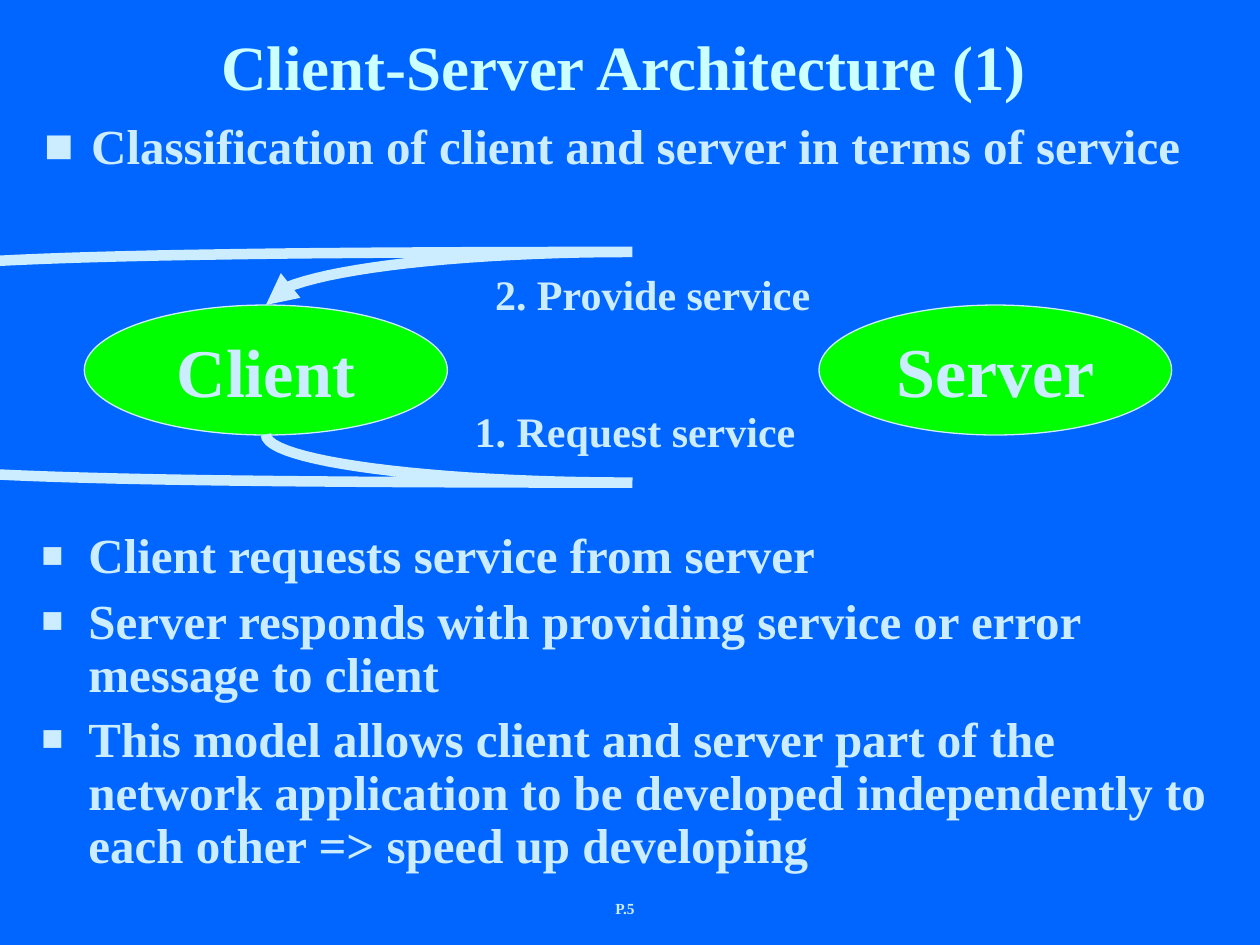
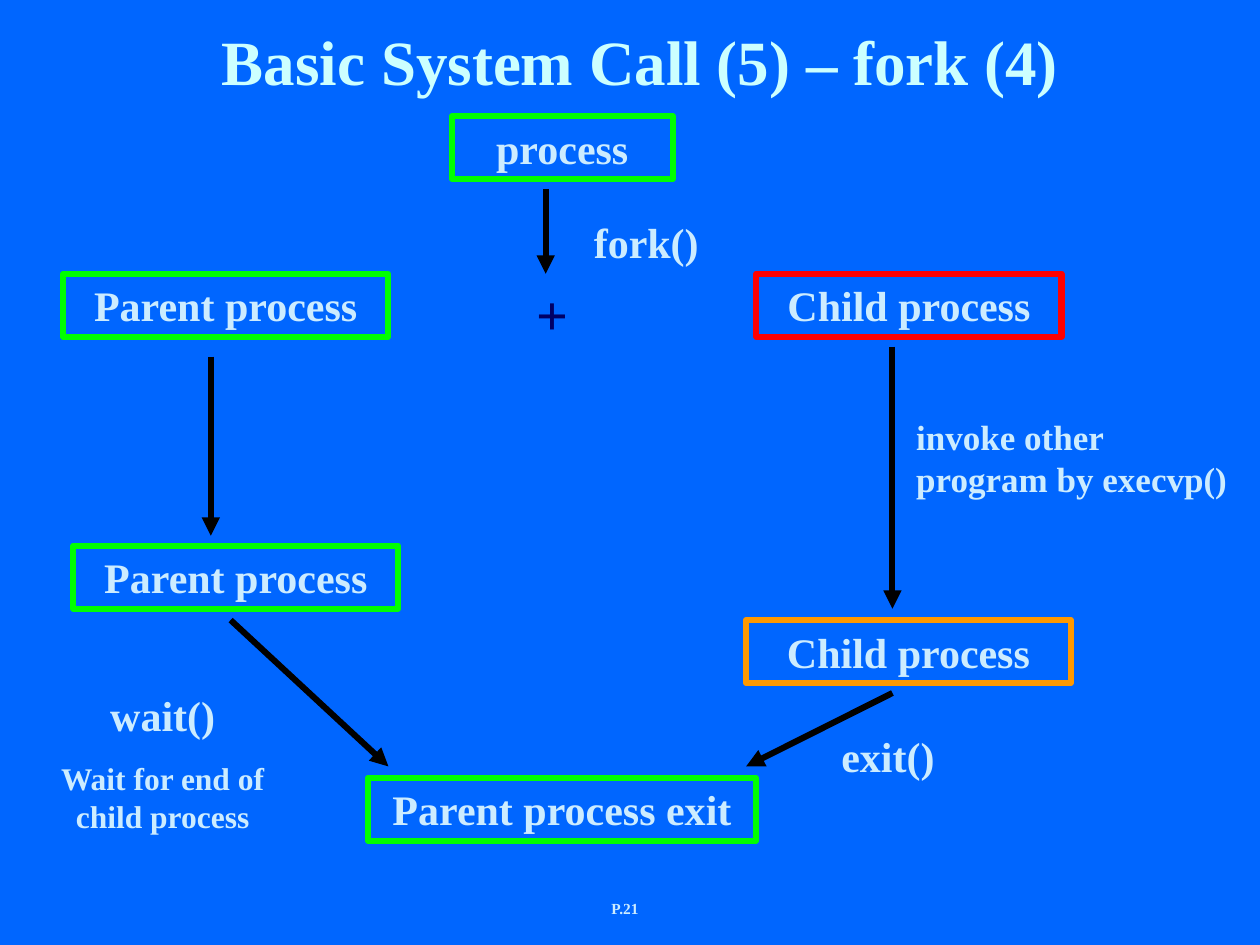
from dataclasses import dataclass

from lxml import etree
from pptx import Presentation
from pptx.dml.color import RGBColor
from pptx.enum.shapes import MSO_CONNECTOR, MSO_SHAPE
from pptx.enum.text import MSO_ANCHOR, MSO_AUTO_SIZE, PP_ALIGN
from pptx.oxml.ns import qn
from pptx.util import Cm, Pt

# Shared look
FONT = "Times New Roman"
BLUE, PALE, TITLE = "0066FF", "CCECFF", "CCFFFF"
GREEN, RED, ORANGE = "00FF00", "FF0000", "FF9900"
BLACK, NAVY = "000000", "000066"
LEFT, CENTER = PP_ALIGN.LEFT, PP_ALIGN.CENTER
TOP, MIDDLE, BOTTOM = MSO_ANCHOR.TOP, MSO_ANCHOR.MIDDLE, MSO_ANCHOR.BOTTOM
LINE_WIDTH = 3.5


@dataclass
class Box:
    left: float
    top: float
    width: float
    height: float

    def inner(self, left, top, width, height):
        return Box(self.left + left, self.top + top, width, height)

    def lengths(self):
        return Cm(self.left), Cm(self.top), Cm(self.width), Cm(self.height)


def color(hex_text):
    return RGBColor.from_string(hex_text)


def add_xml(parent, tag, **attributes):
    return etree.SubElement(parent, qn(tag), attributes)


def add_bullet(para, percent):
    properties = para._p.get_or_add_pPr()
    properties.set("marL", str(Cm(0.95)))
    properties.set("indent", str(-Cm(0.95)))
    add_xml(properties, "a:buSzPct", val=str(percent * 1000))
    add_xml(properties, "a:buFont", typeface=FONT)
    add_xml(properties, "a:buChar", char="■")


def write(shape, text, size=24, ink=PALE, align=CENTER, anchor=TOP, wrap=True,
          bullet=None, spacing=None, before=0, sizes=None):
    """Fill a shape with one paragraph for each line of text."""
    frame = shape.text_frame
    frame.auto_size = MSO_AUTO_SIZE.NONE
    frame.word_wrap = wrap
    frame.vertical_anchor = anchor
    for index, line in enumerate(text.split("\n")):
        para = frame.add_paragraph() if index else frame.paragraphs[0]
        if bullet:
            add_bullet(para, bullet)
        para.alignment = align
        para.space_before = Pt(before if index else 0)
        if spacing:
            para.line_spacing = spacing
        span = para.add_run()
        span.text = line
        span.font.name = FONT
        span.font.size = Pt(sizes[index] if sizes else size)
        span.font.bold = True
        span.font.color.rgb = color(ink)


def add_text(page, box, text, **format):
    shape = page.shapes.add_textbox(*box.lengths())
    write(shape, text, **format)


def add_node(page, box, text, kind=MSO_SHAPE.RECTANGLE, fill=None,
             outline=GREEN, weight=LINE_WIDTH, **format):
    shape = page.shapes.add_shape(kind, *box.lengths())
    shape.shadow.inherit = False
    if fill:
        shape.fill.solid()
        shape.fill.fore_color.rgb = color(fill)
    else:
        shape.fill.background()
    shape.line.color.rgb = color(outline)
    shape.line.width = Pt(weight)
    write(shape, text, **format)


def place_in(placeholder, box):
    (placeholder.left, placeholder.top,
     placeholder.width, placeholder.height) = box.lengths()
    return placeholder


def add_page(deck, layout, title, title_box, anchor, number):
    page = deck.slides.add_slide(deck.slide_layouts[layout])
    write(place_in(page.shapes.title, title_box), title,
          size=36, ink=TITLE, anchor=anchor)
    add_text(page, Box(9.96, 17.35, 5.28, 1.27), f"P.{number}",
             size=8.8, anchor=BOTTOM, spacing=0.8)
    return page


# Client and server diagram
def curve_points(start, control_1, control_2, end, stop=1.0, steps=24):
    """Points on a cubic curve, up to the parameter stop."""
    for step in range(steps + 1):
        t = stop * step / steps
        u = 1 - t
        weights = (u ** 3, 3 * u * u * t, 3 * u * t * t, t ** 3)
        corners = (start, control_1, control_2, end)
        yield tuple(sum(w * corner[axis] for w, corner in zip(weights, corners))
                    for axis in (0, 1))


def service_curve(page, box, start_y, turn_y, arrow=False):
    """Curve from the client to the turn, then back to the page edge."""
    bend_y = start_y + 0.55 * (turn_y - start_y)
    turn = (11.05, turn_y)
    out = curve_points((3.66, start_y), (3.66, bend_y), (6.96, turn_y), turn)
    back = curve_points(turn, (-7.34, turn_y), (-4.01, bend_y),
                        (-4.01, start_y), stop=0.37)
    points = [(Cm(box.left + x), Cm(box.top + y))
              for x, y in [*out, *list(back)[1:]]]
    builder = page.shapes.build_freeform(*points[0])
    builder.add_line_segments(points[1:], close=False)
    curve = builder.convert_to_shape()
    curve.shadow.inherit = False
    curve.fill.background()
    curve.line.color.rgb = color(PALE)
    curve.line.width = Pt(6)
    line = curve.line._get_or_add_ln()
    add_xml(line, "a:bevel")
    if arrow:
        add_xml(line, "a:headEnd", type="triangle")


def service_diagram(page, box):
    for left, width, name, size in ((0, 7.32, "Client", 39),
                                    (14.81, 7.11, "Server", 40)):
        add_node(page, box.inner(left, 1.07, width, 2.62), name,
                 kind=MSO_SHAPE.OVAL, fill=GREEN, outline=PALE, weight=0.75,
                 size=size, anchor=MIDDLE, wrap=False)
    service_curve(page, box, 3.68, box.height)
    service_curve(page, box, 1.07, 0, arrow=True)
    for left, top, label in ((7.62, 2.97, "1. Request service"),
                             (8.03, 0.2, "2. Provide service")):
        add_text(page, box.inner(left, top, 6.9, 1.24), label,
                 align=LEFT, wrap=False)


def client_server_page(deck):
    page = add_page(deck, 1, "Client-Server Architecture (1)",
                    Box(0.84, 0.43, 23.47, 1.78), MIDDLE, 5)
    points = ("Client requests service from server\n"
              "Server responds with providing service or error message to client\n"
              "This model allows client and server part of the network application "
              "to be developed independently to each other => speed up developing")
    listing = dict(size=28, align=LEFT, spacing=0.9, before=7)
    body = place_in(page.placeholders[1], Box(0.58, 10.59, 24.23, 7.16))
    write(body, points, bullet=75, **listing)
    service_diagram(page, Box(1.7, 5.08, 21.92, 4.65))
    add_text(page, Box(0.64, 2.34, 24.26, 1.27),
             "Classification of client and server in terms of service",
             bullet=100, **listing)


# Process flow
def add_arrow(page, box, x1, y1, x2, y2):
    arrow = page.shapes.add_connector(
        MSO_CONNECTOR.STRAIGHT, Cm(box.left + x1), Cm(box.top + y1),
        Cm(box.left + x2), Cm(box.top + y2))
    arrow.line.color.rgb = color(BLACK)
    arrow.line.width = Pt(LINE_WIDTH)
    add_xml(arrow.line._get_or_add_ln(), "a:tailEnd", type="triangle")
    add_xml(arrow._element.spPr, "a:effectLst")


def process_flow(page, box):
    nodes = (
        (8.47, 0, 4.45, "process", GREEN),
        (0.25 * 2.54, 3.18, 6.55, "Parent process", GREEN),
        (14.61, 3.18, 6.15, "Child process", RED),
        (14.4, 10.16, 6.55, "Child process", ORANGE),
        (6.78, 13.34, 7.82, "Parent process exit", GREEN),
        (0.84, 8.66, 6.55, "Parent process", GREEN),
    )
    for left, top, width, name, outline in nodes:
        add_node(page, box.inner(left, top, width, 1.27), name, outline=outline)

    arrows = (
        (10.36, 1.47, 10.36, 3.18),
        (17.35, 4.65, 17.35, 9.93),
        (17.35, 11.63, 14.4, 13.11),
        (3.61, 4.85, 3.61, 8.46),
        (4.01, 10.16, 7.19, 13.11),
    )
    for ends in arrows:
        add_arrow(page, box, *ends)

    labels = (
        (10.8, 1.91, 3.18, 1.27, "fork()", {}),
        (9.32, 3.18, 2.34, 1.63, "+", dict(size=32, ink=NAVY)),
        (17.58, 5.92, 6.88, 2.79, "invoke other program by execvp()",
         dict(size=20, align=LEFT)),
        (15.67, 12.27, 3.18, 1.27, "exit()", {}),
        (0, 11.43, 5.28, 3.2, "wait()\nWait for end of child process",
         dict(sizes=(24, 18), before=11.2)),
    )
    for left, top, width, height, text, format in labels:
        add_text(page, box.inner(left, top, width, height), text, **format)


def fork_page(deck):
    page = add_page(deck, 5, "Basic System Call (5) – fork (4)",
                    Box(0.84, 0.64, 24.13, 1.47), BOTTOM, 21)
    process_flow(page, Box(0.64, 2.34, 24.46, 14.63))


def main():
    deck = Presentation()
    deck.slide_width, deck.slide_height = Cm(25.4), Cm(19.05)
    background = deck.slide_master.background.fill
    background.solid()
    background.fore_color.rgb = color(BLUE)
    client_server_page(deck)
    fork_page(deck)
    deck.save("out.pptx")


if __name__ == "__main__":
    main()
